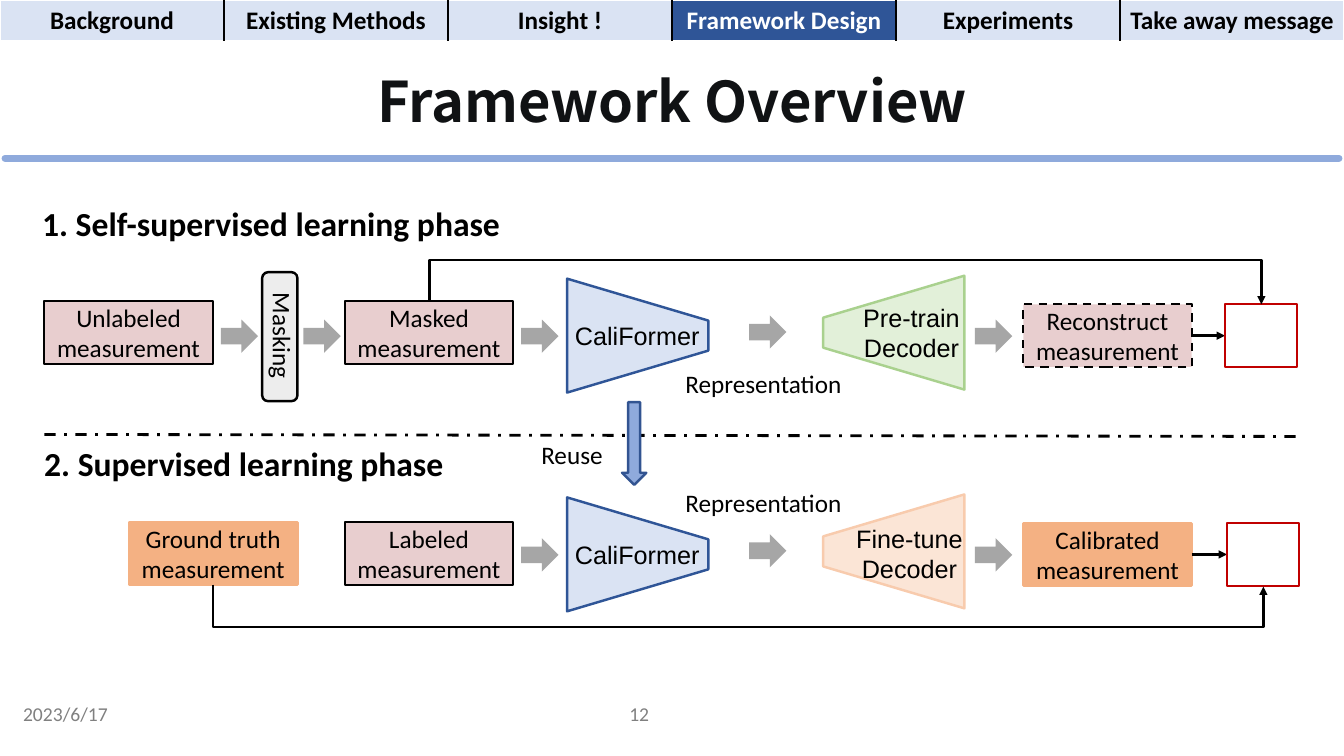
import pptx
import pptx.util
import pptx.dml.color
import pptx.enum.dml
import pptx.enum.shapes
import pptx.enum.text
import pptx.oxml
import pptx.oxml.ns

Inches, Pt = pptx.util.Inches, pptx.util.Pt
SHAPE = pptx.enum.shapes.MSO_SHAPE
CONNECTOR = pptx.enum.shapes.MSO_CONNECTOR
DASH = pptx.enum.dml.MSO_LINE
ALIGN = pptx.enum.text.PP_ALIGN
ANCHOR = pptx.enum.text.MSO_ANCHOR
BLACK, PINK, ORANGE = "000000", "E8CECF", "F4B183"


def color(value):
    return pptx.dml.color.RGBColor.from_string(value)


def add_child(parent, tag, **attributes):
    child = pptx.oxml.parse_xml(f"<{tag} {pptx.oxml.ns.nsdecls('a')}/>")
    for name, value in attributes.items():
        child.set(name, value)
    parent.append(child)
    return child


def write(frame, words, size=18, font="Calibri", ink=BLACK, bold=False,
          align=ALIGN.CENTER, anchor=ANCHOR.TOP):
    frame.word_wrap = True
    frame.vertical_anchor = anchor
    frame.text = words
    for paragraph in frame.paragraphs:
        paragraph.alignment = align
        paragraph.font.size = Pt(size)
        paragraph.font.name = font
        paragraph.font.bold = bold
        paragraph.font.color.rgb = color(ink)


def label(slide, box, words, rotation=0, **style):
    text = slide.shapes.add_textbox(*map(Inches, box))
    text.rotation = rotation
    write(text.text_frame, words, **style)


def block(slide, kind, box, fill, edge=None, width=1.75, dash=None, rotation=0):
    shape = slide.shapes.add_shape(kind, *map(Inches, box))
    shape.shadow.inherit = False
    shape.rotation = rotation
    shape.fill.solid()
    shape.fill.fore_color.rgb = color(fill)
    if edge:
        shape.line.color.rgb = color(edge)
        shape.line.width = Pt(width)
        if dash:
            shape.line.dash_style = dash
    else:
        shape.line.fill.background()
    return shape


def measurement(slide, left, top, name, fill=PINK, edge=BLACK, width=1.5, dash=None):
    shape = block(slide, SHAPE.RECTANGLE, (left, top, 1.67, 0.62), fill, edge, width, dash)
    write(shape.text_frame, f"{name} measurement", anchor=ANCHOR.MIDDLE)


def connect(slide, start, end, ink=BLACK, width=1.75, kind=CONNECTOR.STRAIGHT,
            dash=None, arrow=True):
    line = slide.shapes.add_connector(kind, *map(Inches, start + end))
    line.line.color.rgb = color(ink)
    line.line.width = Pt(width)
    if dash:
        line.line.dash_style = dash
    if arrow:
        add_child(line.line._get_or_add_ln(), "a:tailEnd", type="triangle")
    add_child(line._element.spPr, "a:effectLst")
    return line


def loop(slide, start, end, lane):
    (x1, y1), (x2, y2) = start, end
    middle_x, middle_y = (x1 + x2) / 2, (y1 + y2) / 2
    half_run, half_rise = (x2 - x1) / 2, (y2 - y1) / 2
    line = connect(slide, (middle_x + half_rise, middle_y - half_run),
                   (middle_x - half_rise, middle_y + half_run), kind=CONNECTOR.ELBOW)
    properties = line._element.spPr
    properties.find(pptx.oxml.ns.qn("a:xfrm")).set("rot", "16200000")
    bend = round((lane - y1) / (y2 - y1) * 100000)
    adjustments = properties.find(pptx.oxml.ns.qn("a:prstGeom")).get_or_add_avLst()
    add_child(adjustments, "a:gd", name="adj1", fmla=f"val {bend}")


def flow_arrow(slide, left, top):
    block(slide, SHAPE.RIGHT_ARROW, (left, top, 0.37, 0.33), "A6A6A6")


def trapezoid(slide, left, top, rotation, fill, edge):
    shape = block(slide, SHAPE.TRAPEZOID, (left, top, 1.13, 1.4), fill, edge, rotation=rotation)
    shape.adjustments[0] = 0.368


def encoder_decoder(slide, top, decoder, decoder_box, fill, edge, representation_top, loss_left):
    trapezoid(slide, 5.76, top + 0.03, 90, "DAE3F3", "2F5597")
    label(slide, (5.56, top + 0.53, 1.52, 0.4), "CaliFormer", font="Arial")
    trapezoid(slide, 8.3, top, 270, fill, edge)
    label(slide, decoder_box, f"{decoder}\nDecoder", font="Arial")
    for left, drop in ((5.17, 0.57), (7.43, 0.53), (9.67, 0.57)):
        flow_arrow(slide, left, top + drop)
    label(slide, (6.7, representation_top, 1.86, 0.4), "Representation", align=ALIGN.LEFT)
    connect(slide, (11.82, top + 0.73), (loss_left, top + 0.73))
    block(slide, SHAPE.RECTANGLE, (loss_left, top + 0.42, 0.71, 0.62), "FFFFFF", "C00000", 1.5)


def heading(slide, left, top, words):
    label(slide, (left, top, 4.93, 0.5), words, size=24, bold=True, align=ALIGN.LEFT)


def self_supervised_phase(slide, top):
    heading(slide, 0.32, top - 0.64, "1. Self-supervised learning phase")
    measurement(slide, 0.44, top + 0.39, "Unlabeled")
    block(slide, SHAPE.ROUNDED_RECTANGLE, (2.6, top + 0.1, 0.35, 1.28), "EDEDED", BLACK)
    label(slide, (1.95, top + 0.53, 1.71, 0.4), "Masking", rotation=90)
    for left in (2.19, 3.01):
        flow_arrow(slide, left, top + 0.57)
    measurement(slide, 3.42, top + 0.39, "Masked")
    measurement(slide, 10.15, top + 0.42, "Reconstruct", dash=DASH.DASH)
    encoder_decoder(slide, top, "Pre-train", (8.28, top + 0.35, 1.52, 0.71),
                    "E2F0D9", "A9D18E", top + 1.01, 12.15)
    loop(slide, (4.26, top + 0.39), (12.51, top + 0.42), top - 0.02)


def supervised_phase(slide, top):
    heading(slide, 0.34, top - 0.43, "2. Supervised learning phase")
    measurement(slide, 1.28, top + 0.41, "Ground truth", ORANGE, ORANGE, 2)
    measurement(slide, 3.42, top + 0.41, "Labeled")
    measurement(slide, 10.15, top + 0.42, "Calibrated", ORANGE, ORANGE, 2)
    encoder_decoder(slide, top, "Fine-tune", (8.26, top + 0.37, 1.52, 0.71),
                    "FBE5D6", "F8CBAD", top + 0.02, 12.17)
    loop(slide, (2.11, top + 1.03), (12.53, top + 1.05), top + 1.45)


def reuse_divider(slide, top):
    connect(slide, (0.44, top), (12.86, top + 0.02), width=2, dash=DASH.DASH_DOT, arrow=False)
    block(slide, SHAPE.DOWN_ARROW, (6.17, top - 0.32, 0.24, 0.82), "8FAADC", "325491")
    label(slide, (5.27, top, 0.89, 0.4), "Reuse", align=ALIGN.LEFT)


def navigation(slide, width, height, current):
    sections = ("Background", "Existing Methods", "Insight !", "Framework Design",
                "Experiments", "Take away message")
    last = len(sections) - 1
    table = slide.shapes.add_table(1, len(sections), 0, 0, Inches(width), Inches(height)).table
    table.first_row = table.horz_banding = False
    for index, section in enumerate(sections):
        cell = table.cell(0, index)
        write(cell.text_frame, section, bold=True,
              ink="FFFFFF" if section == current else BLACK)
        for side, inner in (("a:lnL", index > 0), ("a:lnR", index < last)):
            if inner:
                border = add_child(cell._tc.get_or_add_tcPr(), side, w="12700")
                add_child(add_child(border, "a:solidFill"), "a:srgbClr", val=BLACK)
        cell.fill.solid()
        cell.fill.fore_color.rgb = color("2F5597" if section == current else "DAE3F3")


def title_band(slide, width, top):
    label(slide, (0, top, width, 0.77), "Framework Overview", size=40,
          font="Noto Sans CJK SC", ink="101214", bold=True)
    rule = connect(slide, (0.05, top + 0.96), (width - 0.05, top + 0.96),
                   "8FAADC", 5, arrow=False)
    rule.line._get_or_add_ln().set("cap", "rnd")


def footer(slide, top):
    for left, width, words in ((0.05, 1.2, "2023/6/17"), (5.68, 1.32, "12")):
        label(slide, (left, top, width, 0.4), words, size=14, ink="808080", anchor=ANCHOR.MIDDLE)


def main():
    deck = pptx.Presentation()
    deck.slide_width, deck.slide_height = Inches(13.33), Inches(7.5)
    slide = deck.slides.add_slide(deck.slide_layouts[6])
    navigation(slide, 13.33, 0.4, "Framework Design")
    title_band(slide, 13.33, 0.61)
    self_supervised_phase(slide, 2.6)
    supervised_phase(slide, 4.77)
    reuse_divider(slide, 4.31)
    footer(slide, 6.88)
    deck.save("out.pptx")


if __name__ == "__main__":
    main()
